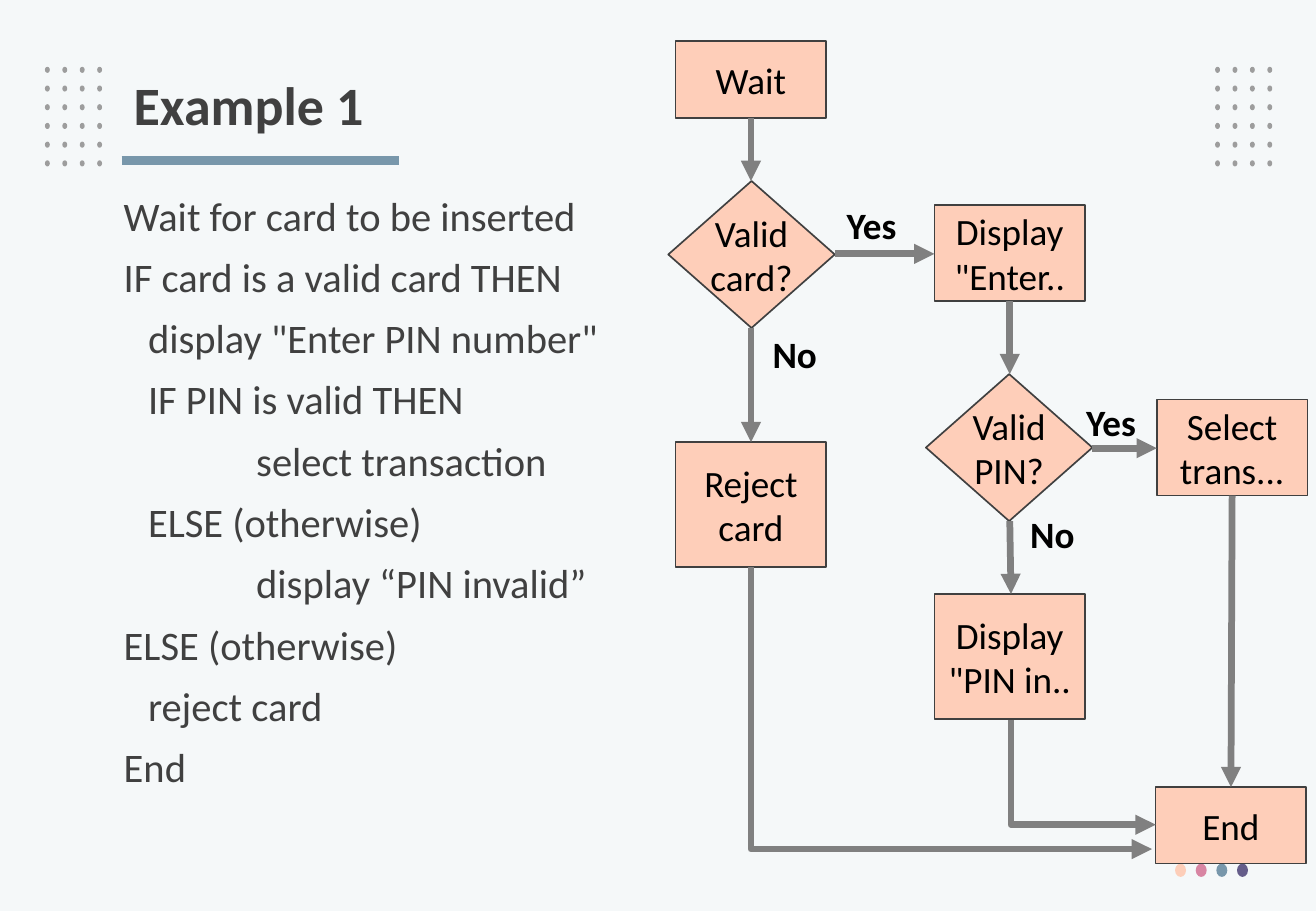
from dataclasses import dataclass

from lxml.etree import SubElement
from pptx import Presentation
from pptx.dml.color import RGBColor
from pptx.enum.shapes import MSO_CONNECTOR as Connector, MSO_SHAPE as Preset
from pptx.enum.text import MSO_ANCHOR as Anchor, PP_ALIGN as Align
from pptx.oxml.ns import qn
from pptx.util import Inches, Pt

FONT = "Calibri"
DARK, BLACK, GREY, DOT_GREY = "404040", "000000", "808080", "9D9D9D"
PEACH, BLUE, BACKGROUND = "FECEB9", "7897AB", "F5F8F9"
NODE_WIDTH, DIAMOND_WIDTH, DIAMOND_HEIGHT = 1.24, 1.37, 1.21


@dataclass
class Node:
    lines: list[str]
    left: float
    top: float
    height: float
    width: float = NODE_WIDTH
    preset: Preset = Preset.RECTANGLE


@dataclass
class Arrow:
    x1: float
    y1: float
    x2: float
    y2: float
    bent: bool = False


@dataclass
class Label:
    text: str
    left: float
    top: float
    width: float


def decision(lines: list[str], left: float, top: float) -> Node:
    return Node(lines, left, top, DIAMOND_HEIGHT, DIAMOND_WIDTH, Preset.DIAMOND)


NODES = [
    Node(["Wait"], 5.56, 0.34, 0.63),
    decision(["Valid", "card?"], 5.5, 1.49),
    Node(["Display", '"Enter..'], 7.69, 1.69, 0.79),
    decision(["Valid", "PIN?"], 7.62, 3.08),
    Node(["Select", "trans..."], 9.52, 3.29, 0.79),
    Node(["Reject", "card"], 5.56, 3.64, 1.03),
    Node(["Display", '"PIN in..'], 7.69, 4.89, 1.03),
    Node(["End"], 9.51, 6.48, 0.63),
]
ARROWS = [
    Arrow(6.18, 0.97, 6.18, 1.49),
    Arrow(6.87, 2.09, 7.69, 2.09),
    Arrow(8.31, 2.48, 8.31, 3.08),
    Arrow(8.99, 3.69, 9.52, 3.69),
    Arrow(10.14, 4.08, 10.13, 6.48),
    Arrow(8.31, 4.29, 8.32, 4.89),
    Arrow(6.18, 2.7, 6.18, 3.64),
    Arrow(8.32, 5.93, 9.51, 6.79, bent=True),
    Arrow(6.18, 4.67, 9.48, 6.99, bent=True),
]
LABELS = [
    Label("Yes", 6.87, 1.62, 0.64),
    Label("Yes", 8.84, 3.24, 0.64),
    Label("No", 8.38, 4.16, 0.57),
    Label("No", 6.26, 2.68, 0.57),
]
INDENTS = [0, 0.2, 1.09]
PSEUDOCODE = [
    (0, "Wait for card to be inserted"),
    (0, "IF card is a valid card THEN"),
    (1, 'display "Enter PIN number"'),
    (1, "IF PIN is valid THEN"),
    (2, "select transaction"),
    (1, "ELSE (otherwise)"),
    (2, "display “PIN invalid”"),
    (0, "ELSE (otherwise)"),
    (1, "reject card"),
    (0, "End"),
]


def color(value: str) -> RGBColor:
    return RGBColor.from_string(value)


def add_text(paragraph, text: str, size: float, ink: str, bold: bool = False) -> None:
    run = paragraph.add_run()
    run.text = text
    run.font.name, run.font.size, run.font.bold = FONT, Pt(size), bold
    run.font.color.rgb = color(ink)


def paragraph_at(frame, index: int):
    return frame.add_paragraph() if index else frame.paragraphs[0]


def add_filled(slide, preset: Preset, left: float, top: float,
               width: float, height: float, fill: str):
    shape = slide.shapes.add_shape(
        preset, Inches(left), Inches(top), Inches(width), Inches(height))
    shape.shadow.inherit = False
    shape.fill.solid()
    shape.fill.fore_color.rgb = color(fill)
    shape.line.fill.background()
    return shape


def add_node(slide, node: Node) -> None:
    shape = add_filled(slide, node.preset, node.left, node.top,
                       node.width, node.height, PEACH)
    shape.line.color.rgb = color(DARK)
    shape.line.width = Pt(1)
    frame = shape.text_frame
    frame.word_wrap = False
    frame.vertical_anchor = Anchor.MIDDLE
    for index, line in enumerate(node.lines):
        paragraph = paragraph_at(frame, index)
        paragraph.alignment = Align.CENTER
        add_text(paragraph, line, 22, BLACK)


def add_line(slide, kind: Connector, x1: float, y1: float,
             x2: float, y2: float, ink: str, width: float):
    line = slide.shapes.add_connector(
        kind, Inches(x1), Inches(y1), Inches(x2), Inches(y2))
    line.line.color.rgb = color(ink)
    line.line.width = Pt(width)
    SubElement(line._element.spPr, qn("a:effectLst"))
    return line


def add_arrow(slide, arrow: Arrow) -> None:
    x1, y1, x2, y2 = arrow.x1, arrow.y1, arrow.x2, arrow.y2
    if arrow.bent:
        # Down, then right: a turned and flipped one-corner connector
        middle_x, middle_y = (x1 + x2) / 2, (y1 + y2) / 2
        half_width, half_height = (y2 - y1) / 2, (x2 - x1) / 2
        line = add_line(slide, Connector.ELBOW,
                        middle_x - half_width, middle_y - half_height,
                        middle_x + half_width, middle_y + half_height, GREY, 4)
        properties = line._element.spPr
        properties.find(qn("a:prstGeom")).set("prst", "bentConnector2")
        transform = properties.find(qn("a:xfrm"))
        transform.set("rot", "16200000")
        transform.set("flipH", "1")
    else:
        line = add_line(slide, Connector.STRAIGHT, x1, y1, x2, y2, GREY, 4)
    outline = line._element.spPr.find(qn("a:ln"))
    SubElement(outline, qn("a:tailEnd"), type="triangle")


def add_text_box(slide, left: float, top: float, width: float, height: float, wrap: bool):
    box = slide.shapes.add_textbox(
        Inches(left), Inches(top), Inches(width), Inches(height))
    box.text_frame.word_wrap = wrap
    return box.text_frame


def main() -> None:
    presentation = Presentation()
    presentation.slide_width, presentation.slide_height = Inches(10.83), Inches(7.5)
    slide = presentation.slides.add_slide(presentation.slide_layouts[5])
    slide.background.fill.solid()
    slide.background.fill.fore_color.rgb = color(BACKGROUND)

    # Dot grids in the upper corners
    for grid_left in (0.37, 10):
        for row in range(6):
            for column in range(4):
                add_filled(slide, Preset.OVAL, grid_left + column * 0.43 / 3,
                           0.55 + row * 0.77 / 5, 0.04, 0.05, DOT_GREY)

    # Coloured dots at the bottom
    for index, fill in enumerate(["FDCEB9", "D885A3", BLUE, "655D8A"]):
        add_filled(slide, Preset.OVAL, 9.67 + index * 0.17, 7.11, 0.09, 0.11, fill)

    # Title and its underline
    add_line(slide, Connector.STRAIGHT, 1, 1.32, 3.28, 1.32, BLUE, 5.25)
    title = slide.shapes.title
    title.left, title.top = Inches(1), Inches(0.4)
    title.width, title.height = Inches(2.55), Inches(0.98)
    title.text_frame.vertical_anchor = Anchor.MIDDLE
    heading = title.text_frame.paragraphs[0]
    heading.alignment, heading.line_spacing = Align.LEFT, 0.9
    add_text(heading, "Example 1", 32, DARK, bold=True)

    # Pseudocode
    frame = add_text_box(slide, 0.92, 1.52, 5.34, 5.14, wrap=True)
    for index, (level, text) in enumerate(PSEUDOCODE):
        paragraph = paragraph_at(frame, index)
        paragraph.space_before = Pt(7.55)
        paragraph._p.get_or_add_pPr().set("marL", str(Inches(INDENTS[level])))
        add_text(paragraph, text, 24, DARK)

    # Flowchart
    for node in NODES:
        add_node(slide, node)
    for arrow in ARROWS:
        add_arrow(slide, arrow)
    for label in LABELS:
        frame = add_text_box(slide, label.left, label.top, label.width, 0.47, wrap=False)
        add_text(frame.paragraphs[0], label.text, 22, BLACK, bold=True)

    presentation.save("out.pptx")


if __name__ == "__main__":
    main()
